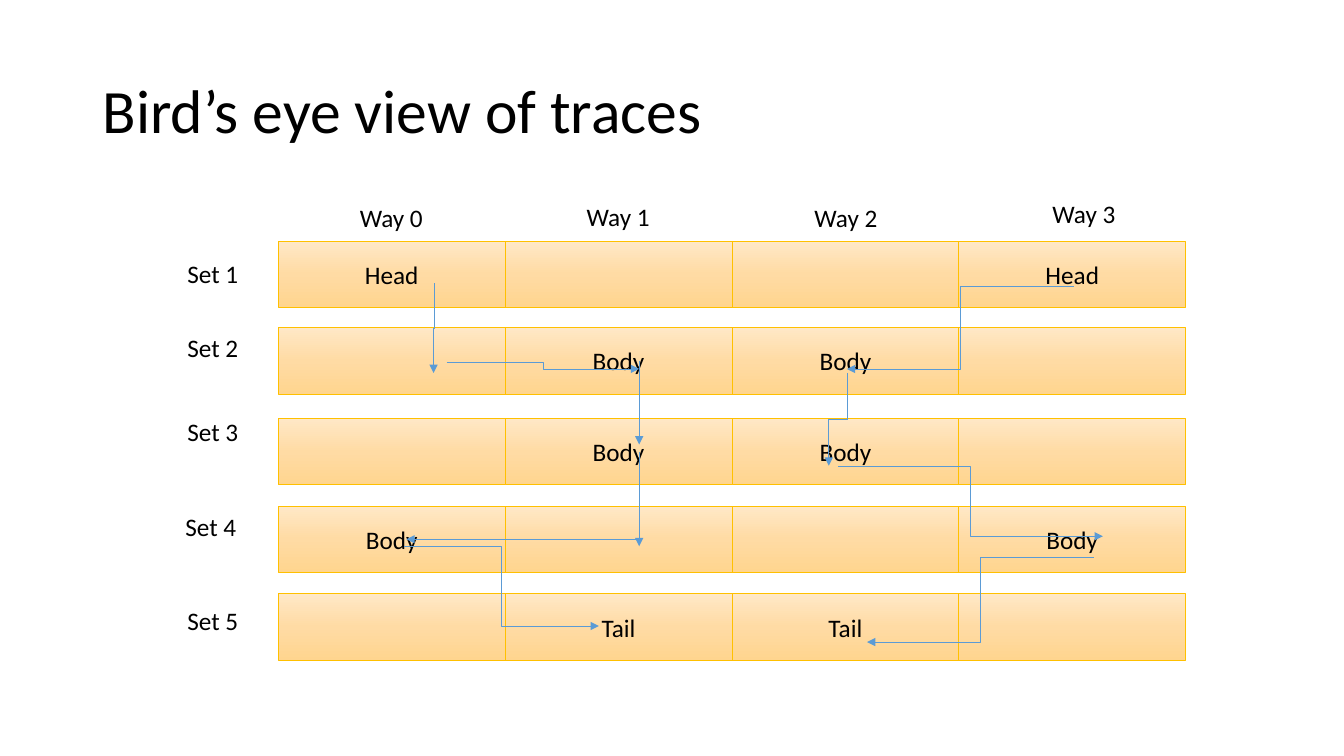
from copy import deepcopy

from pptx import Presentation
from pptx.dml.color import RGBColor
from pptx.enum.shapes import MSO_CONNECTOR, MSO_SHAPE
from pptx.enum.text import MSO_ANCHOR, MSO_AUTO_SIZE, PP_ALIGN
from pptx.oxml.ns import qn
from pptx.oxml.xmlchemy import OxmlElement
from pptx.util import Inches, Pt

RECTANGLE = MSO_SHAPE.RECTANGLE
STRAIGHT, ELBOW = MSO_CONNECTOR.STRAIGHT, MSO_CONNECTOR.ELBOW
MIDDLE, TOP = MSO_ANCHOR.MIDDLE, MSO_ANCHOR.TOP
CENTER, LEFT = PP_ALIGN.CENTER, PP_ALIGN.LEFT
FIT_SHAPE = MSO_AUTO_SIZE.SHAPE_TO_FIT_TEXT

BLACK = RGBColor(0x00, 0x00, 0x00)
GOLD = RGBColor(0xFF, 0xC0, 0x00)
BLUE = RGBColor(0x5B, 0x9B, 0xD5)
GRADIENT = [
    (0, RGBColor(0xFF, 0xE8, 0xC7)),
    (0.5, RGBColor(0xFF, 0xDB, 0xA4)),
    (1, RGBColor(0xFF, 0xD5, 0x8F)),
]

# Cache grid: one row per set, one column per way
GRID_LEFT, CELL_WIDTH, CELL_HEIGHT = 2.76, 2.25, 0.66
SET_TOPS = [2.39, 3.25, 4.15, 5.02, 5.89]
CELLS = [
    ["Head", "", "", "Head"],
    ["", "Body", "Body", ""],
    ["", "Body", "Body", ""],
    ["Body", "", "", "Body"],
    ["", "Tail", "Tail", ""],
]
WAY_LABELS = [(3.47, 1.96), (5.72, 1.95), (7.98, 1.96), (10.34, 1.92)]
SET_LABELS = [(1.76, 2.51), (1.76, 3.25), (1.76, 4.08), (1.74, 5.02), (1.76, 5.96)]

# Trace arrows: start x, start y, end x, end y
STRAIGHT_ARROWS = [
    (6.34, 3.58, 6.34, 4.41),
    (6.34, 5.35, 4.03, 5.35),
    (6.34, 4.48, 6.34, 5.42),
]
SIDEWAYS_ELBOWS = [
    (4.43, 3.6, 6.34, 3.66),
    (4.01, 5.42, 5.94, 6.21),
    (10.65, 2.84, 8.4, 3.66),
    (8.31, 4.63, 10.94, 5.32),
    (10.85, 5.53, 8.6, 6.37),
]
DOWNWARD_ELBOWS = [(4.31, 2.81, 4.3, 3.7), (8.4, 3.7, 8.22, 4.62)]


class TraceSlide:
    font_name = "Calibri"
    line_width = Pt(0.5)

    def __init__(self, presentation):
        self.slide = presentation.slides.add_slide(presentation.slide_layouts[6])

    def set_text(self, shape, text, size=18, align=LEFT, anchor=TOP):
        text_frame = shape.text_frame
        text_frame.text = text
        text_frame.vertical_anchor = anchor
        paragraph = text_frame.paragraphs[0]
        paragraph.alignment = align
        for run in paragraph.runs:
            run.font.name = self.font_name
            run.font.size = Pt(size)
            run.font.color.rgb = BLACK
        return paragraph

    def title(self, text, left, top, width, height):
        box = self.slide.shapes.add_textbox(
            Inches(left), Inches(top), Inches(width), Inches(height))
        box.text_frame.word_wrap = True
        self.set_text(box, text, size=44, anchor=MIDDLE).line_spacing = 0.9

    def label(self, text, left, top, width):
        box = self.slide.shapes.add_textbox(
            Inches(left), Inches(top), Inches(width), Inches(0.4))
        box.text_frame.word_wrap = False
        box.text_frame.auto_size = FIT_SHAPE
        self.set_text(box, text)

    def cell(self, text, left, top):
        shape = self.slide.shapes.add_shape(
            RECTANGLE, Inches(left), Inches(top), Inches(CELL_WIDTH), Inches(CELL_HEIGHT))
        shape.shadow.inherit = False
        shape.fill.gradient()
        shape.fill.gradient_angle = 270
        # The default gradient has two stops; add the third
        stop_list = next(shape._element.spPr.iter(qn("a:gsLst")))
        stop_list.append(deepcopy(stop_list[0]))
        for stop, (position, color) in zip(shape.fill.gradient_stops, GRADIENT):
            stop.position = position
            stop.color.rgb = color
        shape.line.color.rgb = GOLD
        shape.line.width = self.line_width
        self.set_text(shape, text, align=CENTER, anchor=MIDDLE)

    def arrow(self, kind, x1, y1, x2, y2):
        connector = self.slide.shapes.add_connector(
            kind, Inches(x1), Inches(y1), Inches(x2), Inches(y2))
        connector.line.color.rgb = BLUE
        connector.line.width = self.line_width
        properties = connector._element.spPr
        arrowhead = OxmlElement("a:tailEnd")
        arrowhead.set("type", "triangle")
        properties.find(qn("a:ln")).append(arrowhead)
        properties.append(OxmlElement("a:effectLst"))
        return connector

    def downward_elbow(self, x1, y1, x2, y2):
        # Lay the elbow on its side around its centre, then turn it by 90 degrees
        center_x, center_y = (x1 + x2) / 2, (y1 + y2) / 2
        half_drop, half_shift = (y2 - y1) / 2, (x1 - x2) / 2
        connector = self.arrow(
            ELBOW, center_x - half_drop, center_y - half_shift,
            center_x + half_drop, center_y + half_shift)
        connector._element.spPr.find(qn("a:xfrm")).set("rot", "5400000")


def main():
    presentation = Presentation()
    presentation.slide_width = Inches(13.33)
    presentation.slide_height = Inches(7.5)
    traces = TraceSlide(presentation)

    traces.title("Bird’s eye view of traces", 0.92, 0.4, 11.5, 1.45)

    # Grid
    for top, row in zip(SET_TOPS, CELLS):
        for way, text in enumerate(row):
            traces.cell(text, GRID_LEFT + way * CELL_WIDTH, top)

    # Column and row labels
    for way, (left, top) in enumerate(WAY_LABELS):
        traces.label(f"Way {way}", left, top, 0.83)
    for number, (left, top) in enumerate(SET_LABELS, start=1):
        traces.label(f"Set {number}", left, top, 0.71)

    # Trace arrows
    for points in STRAIGHT_ARROWS:
        traces.arrow(STRAIGHT, *points)
    for points in SIDEWAYS_ELBOWS:
        traces.arrow(ELBOW, *points)
    for points in DOWNWARD_ELBOWS:
        traces.downward_elbow(*points)

    presentation.save("out.pptx")


if __name__ == "__main__":
    main()
